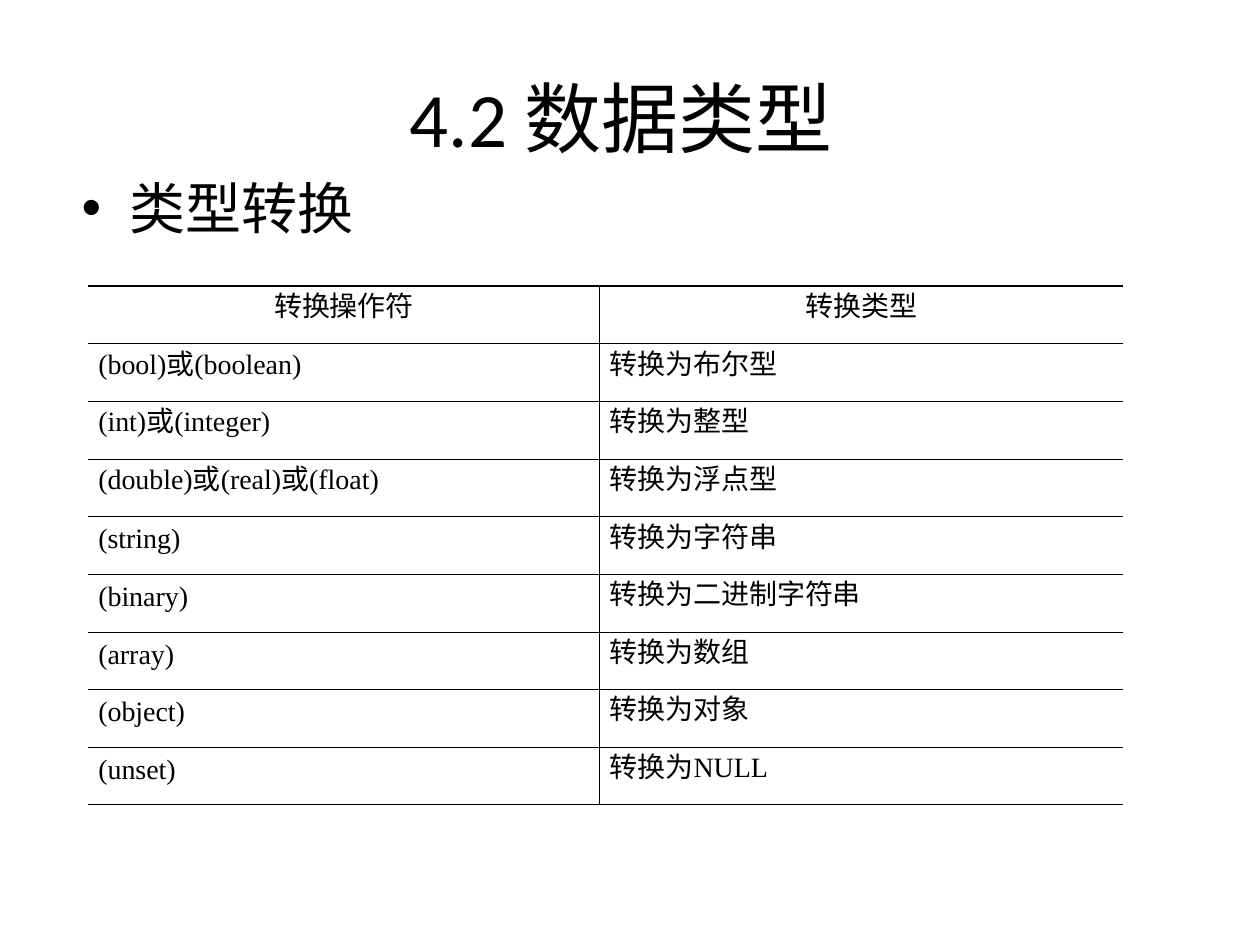
from dataclasses import dataclass

from lxml.etree import SubElement
from pptx import Presentation
from pptx.dml.color import RGBColor
from pptx.enum.text import MSO_ANCHOR as Anchor, PP_ALIGN as Align
from pptx.oxml.ns import qn
from pptx.util import Inches, Pt

TITLE = "4.2 数据类型 "
TOPIC = "类型转换"
CONVERSIONS = [
    ("转换操作符", "转换类型"),
    ("(bool)或(boolean)", "转换为布尔型"),
    ("(int)或(integer)", "转换为整型"),
    ("(double)或(real)或(float)", "转换为浮点型"),
    ("(string)", "转换为字符串"),
    ("(binary)", "转换为二进制字符串"),
    ("(array)", "转换为数组"),
    ("(object)", "转换为对象"),
    ("(unset)", "转换为NULL"),
]
COLUMN_WIDTHS = (4.06, 4.15)
TABLE_LEFT, TABLE_TOP, TABLE_HEIGHT = 0.7, 2.27, 4.12


@dataclass(frozen=True)
class Theme:
    ink: str = "000000"
    paper: str = "FFFFFF"
    heading_font: str = "Calibri"
    table_font: str = "Times New Roman"
    title_size: int = 44
    topic_size: int = 32
    table_size: int = 16
    table_line_spacing: int = 11
    outer_rule: float = 0.75
    inner_rule: float = 0.45


THEME = Theme()


def write_text(frame, text, size, font=THEME.heading_font, align=Align.LEFT,
               anchor=Anchor.TOP):
    frame.word_wrap = True
    frame.vertical_anchor = anchor
    paragraph = frame.paragraphs[0]
    paragraph.alignment = align
    run = paragraph.add_run()
    run.text = text
    run.font.size = Pt(size)
    run.font.name = font
    run.font.color.rgb = RGBColor.from_string(THEME.ink)
    return paragraph


def add_text(slide, box, text, size, **text_format):
    shape = slide.shapes.add_textbox(*map(Inches, box))
    return write_text(shape.text_frame, text, size, **text_format)


def add_bullet(paragraph, indent):
    properties = paragraph._p.get_or_add_pPr()
    properties.set("marL", str(Inches(indent)))
    properties.set("indent", str(-Inches(indent)))
    SubElement(properties, qn("a:buFont"), typeface="Arial")
    SubElement(properties, qn("a:buChar"), char="•")


def set_borders(cell, **widths):
    """Rule the given sides (L, R, T, B) in points; a width of 0 hides a side."""
    properties = cell._tc.get_or_add_tcPr()
    for side in "LRTB":
        width = widths[side]
        line = SubElement(properties, qn(f"a:ln{side}"), w=str(Pt(width)))
        if width:
            fill = SubElement(line, qn("a:solidFill"))
            SubElement(fill, qn("a:srgbClr"), val=THEME.ink)
        else:
            SubElement(line, qn("a:noFill"))


def add_conversion_table(slide):
    row_count, column_count = len(CONVERSIONS), len(COLUMN_WIDTHS)
    table = slide.shapes.add_table(
        row_count, column_count, Inches(TABLE_LEFT), Inches(TABLE_TOP),
        Inches(sum(COLUMN_WIDTHS)), Inches(TABLE_HEIGHT)).table
    table.first_row = table.horz_banding = False
    for column, width in zip(table.columns, COLUMN_WIDTHS):
        column.width = Inches(width)

    for row, texts in enumerate(CONVERSIONS):
        for column, text in enumerate(texts):
            cell = table.cell(row, column)
            cell.margin_left = cell.margin_right = Inches(0.08)
            cell.margin_top = cell.margin_bottom = Inches(0.05)
            cell.vertical_anchor = Anchor.MIDDLE
            set_borders(
                cell,
                L=THEME.inner_rule if column > 0 else 0,
                R=THEME.inner_rule if column < column_count - 1 else 0,
                T=THEME.inner_rule if row > 0 else THEME.outer_rule,
                B=THEME.inner_rule if row < row_count - 1 else THEME.outer_rule)
            cell.fill.background()
            paragraph = write_text(
                cell.text_frame, text, THEME.table_size, font=THEME.table_font,
                align=Align.JUSTIFY if row else Align.CENTER,
                anchor=Anchor.MIDDLE)
            paragraph.line_spacing = Pt(THEME.table_line_spacing)


def main():
    presentation = Presentation()
    presentation.slide_width = Inches(10)
    presentation.slide_height = Inches(7.5)
    slide = presentation.slides.add_slide(presentation.slide_layouts[6])
    slide.background.fill.solid()
    slide.background.fill.fore_color.rgb = RGBColor.from_string(THEME.paper)

    add_text(slide, (0.5, 0.3, 9, 1.25), TITLE, THEME.title_size,
             align=Align.CENTER, anchor=Anchor.MIDDLE)
    topic = add_text(slide, (0.55, 1.33, 9, 0.86), TOPIC, THEME.topic_size)
    topic.space_before = Pt(8)
    add_bullet(topic, 0.38)
    add_conversion_table(slide)

    presentation.save("out.pptx")


if __name__ == "__main__":
    main()
